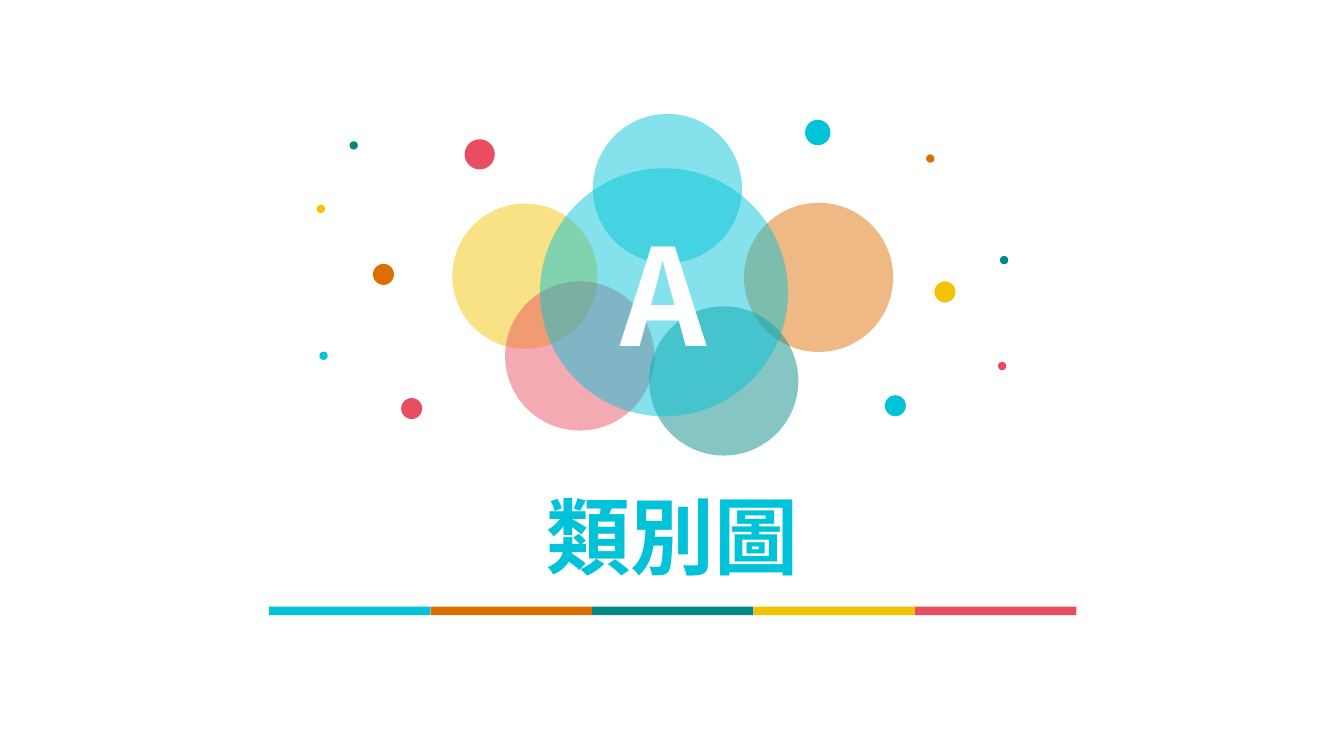
"""Build the section title slide with overlapping circles and a colour bar."""
from dataclasses import dataclass

import pptx
import pptx.dml.color
import pptx.enum.shapes
import pptx.enum.text
import pptx.oxml
import pptx.oxml.ns
import pptx.util
from pptx.util import Cm


@dataclass(frozen=True)
class Theme:
    cyan: str = "00C3D9"
    orange: str = "DE6E00"
    teal: str = "028985"
    yellow: str = "F3C301"
    red: str = "E94E60"
    white: str = "FFFFFF"
    font: str = "Noto Sans CJK SC"
    letter: int = 96
    title: int = 60
    alpha: int = 48


theme = Theme()
SHAPE = pptx.enum.shapes.MSO_SHAPE
NS = pptx.oxml.ns.nsdecls("a")


def add_filled(shapes, kind, left, top, width, height, color, alpha=100):
    sp = shapes.add_shape(kind, Cm(left), Cm(top), Cm(width), Cm(height))
    sp.shadow.inherit = False
    sp.line.fill.background()
    sp.fill.solid()
    sp.fill.fore_color.rgb = pptx.dml.color.RGBColor.from_string(color)
    if alpha < 100:
        clr = sp.fill._xPr.find(".//" + pptx.oxml.ns.qn("a:srgbClr"))
        clr.append(pptx.oxml.parse_xml(f'<a:alpha {NS} val="{alpha * 1000}"/>'))
    return sp


def write_centred(sp, text, size, color):
    tf = sp.text_frame
    tf.word_wrap = True
    tf.vertical_anchor = pptx.enum.text.MSO_ANCHOR.MIDDLE
    tf.margin_left = tf.margin_right = tf.margin_top = tf.margin_bottom = 0
    p = tf.paragraphs[0]
    p.text = text
    p.alignment = pptx.enum.text.PP_ALIGN.CENTER
    p.font.size = pptx.util.Pt(size)
    p.font.bold = True
    p.font.color.rgb = pptx.dml.color.RGBColor.from_string(color)
    p.font.name = theme.font
    p.font._element.append(pptx.oxml.parse_xml(f'<a:ea {NS} typeface="{theme.font}"/>'))


prs = pptx.Presentation()
prs.slide_width, prs.slide_height = Cm(33.87), Cm(19.05)
s = prs.slides.add_slide(prs.slide_layouts[6])

small, medium, large, largest = 0.21, 0.53, 0.64, 0.76
dots = [
    (7.98, 5.16, small, theme.yellow),
    (8.81, 3.56, small, theme.teal),
    (8.05, 8.86, small, theme.cyan),
    (9.4, 6.65, medium, theme.orange),
    (10.11, 10.03, medium, theme.red),
    (11.71, 3.51, largest, theme.red),
    (20.29, 3.02, large, theme.cyan),
    (22.3, 9.96, medium, theme.cyan),
    (23.55, 7.09, medium, theme.yellow),
    (23.34, 3.89, small, theme.orange),
    (25.2, 6.45, small, theme.teal),
    (25.15, 9.12, small, theme.red),
]
for left, top, size, color in dots:
    add_filled(s.shapes, SHAPE.OVAL, left, top, size, size, color)

petals = [
    (11.4, 5.13, 3.66, theme.yellow),
    (12.73, 7.09, 3.76, theme.red),
    (14.94, 2.87, 3.76, theme.cyan),
    (18.75, 5.11, 3.76, theme.orange),
    (16.36, 7.72, 3.76, theme.teal),
]
for left, top, size, color in petals:
    add_filled(s.shapes, SHAPE.OVAL, left, top, size, size, color, theme.alpha)

core = add_filled(s.shapes, SHAPE.OVAL, 13.61, 4.24, 6.25, 6.25, theme.cyan, theme.alpha)
write_centred(core, "A", theme.letter, theme.white)

bar = s.shapes.add_group_shape()
bar_width = 4.07
for i, color in enumerate([theme.cyan, theme.orange, theme.teal, theme.yellow, theme.red]):
    add_filled(bar.shapes, SHAPE.RECTANGLE, 6.78 + i * bar_width, 15.29, bar_width, 0.21, color)

title = s.shapes.add_textbox(Cm(4.45), Cm(12.55), Cm(24.99), Cm(1.88))
write_centred(title, "類別圖", theme.title, theme.cyan)

prs.save("out.pptx")
